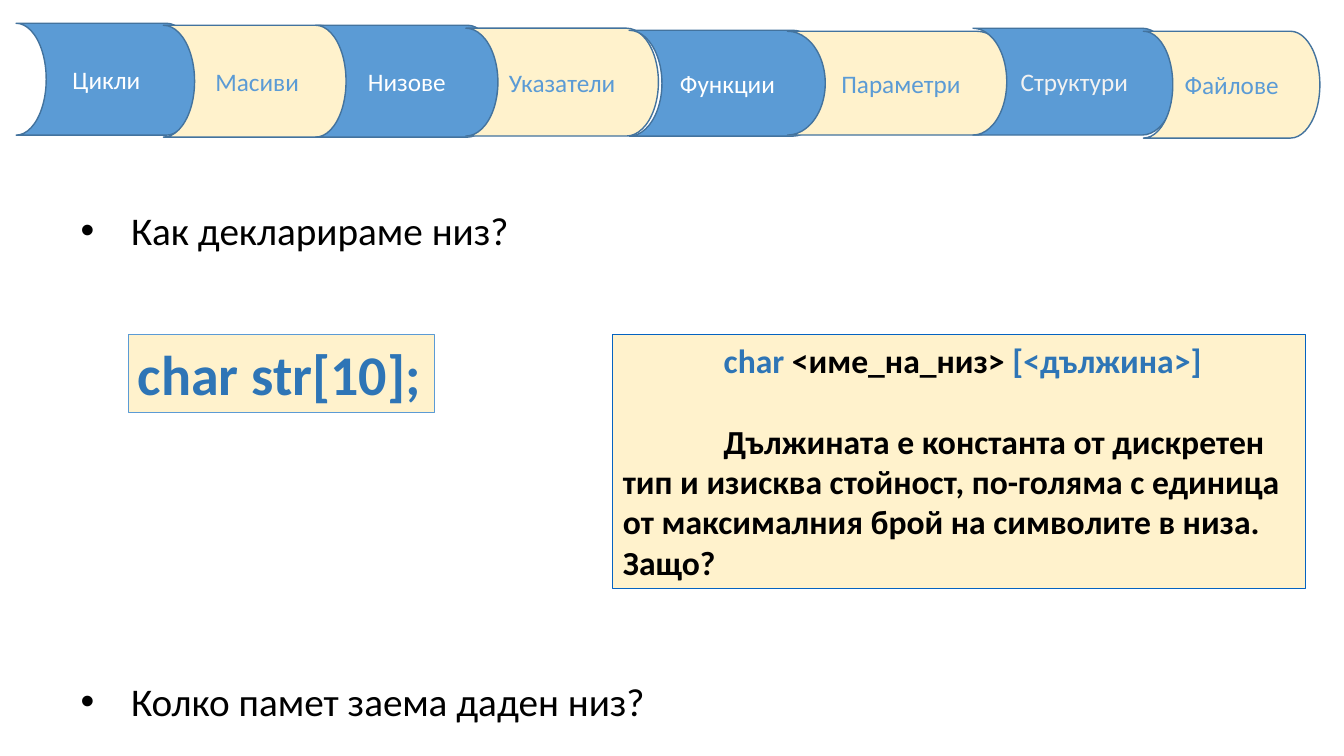
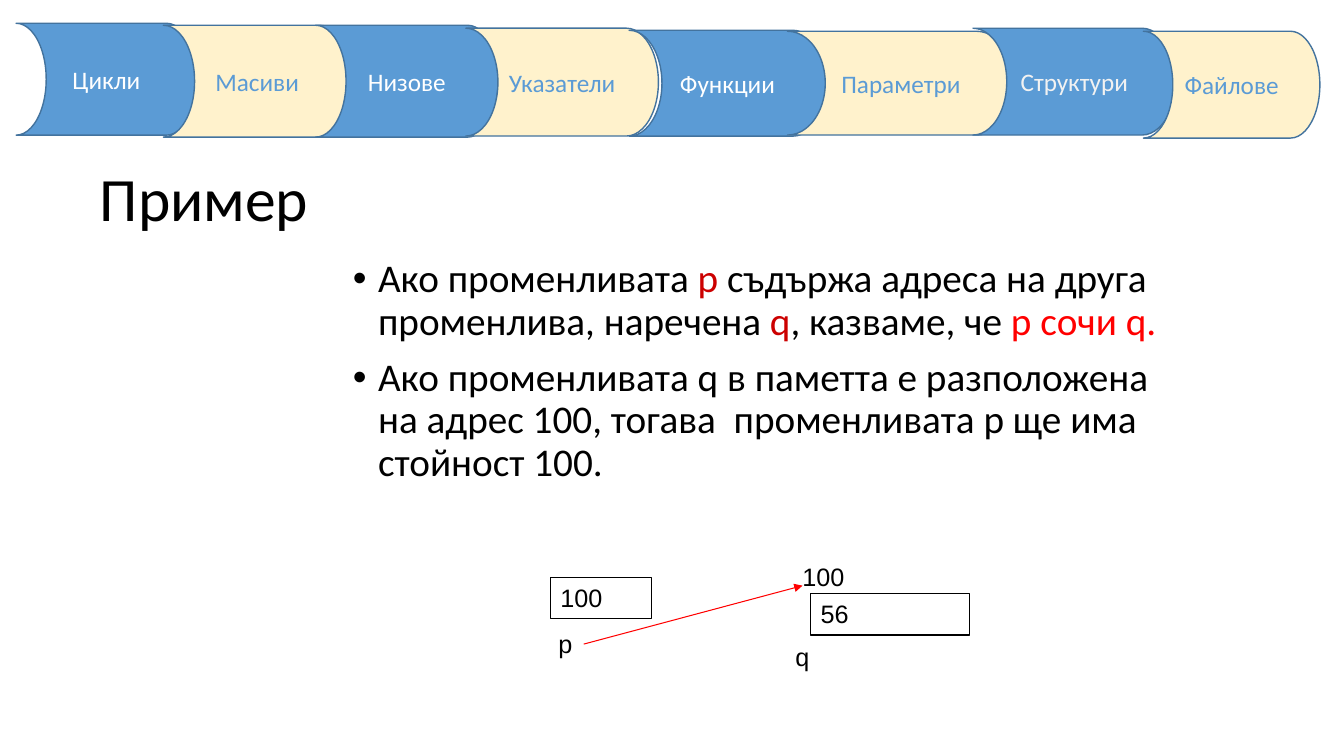
from pptx import Presentation
from pptx.dml.color import RGBColor
from pptx.enum.shapes import MSO_CONNECTOR, MSO_SHAPE
from pptx.enum.text import MSO_ANCHOR, MSO_AUTO_SIZE, PP_ALIGN
from pptx.oxml.ns import qn
from pptx.util import Inches, Pt
from lxml import etree

# Shared look
BLUE, CREAM, EDGE, WHITE, BLACK = "5B9BD5", "FFF2CC", "43739E", "FFFFFF", "000000"
CODE, DARK_RED, RED = "2E75B6", "CC0000", "FF0000"

# Topic band: label, left, top, width, height
TOPICS = [
    ("Цикли", 0.16, 0.23, 1.79, 1.11),
    ("Масиви", 1.62, 0.25, 1.86, 1.11),
    ("Низове", 3.13, 0.25, 1.81, 1.11),
    ("Указатели", 4.62, 0.28, 1.91, 1.07),
    ("Функции", 6.24, 0.3, 1.95, 1.05),
    ("Параметри", 7.81, 0.31, 2.25, 1.03),
    ("Структури", 9.65, 0.28, 2.01, 1.06),
    ("Файлове", 11.34, 0.31, 1.75, 1.06),
]
LABEL_COLORS = {"Структури": "F2F2F2"}

# Slide 1: a paragraph is a list of (text, colour) runs
QUESTIONS = [
    ("Как декларираме низ?", (0.7, 2, 4.72, 0.57)),
    ("Колко памет заема даден низ?", (0.7, 6.67, 6.59, 0.57)),
]
SYNTAX = [
    [("char ", CODE), ("<име_на_низ> ", BLACK), ("[<дължина>]", CODE)],
    [("Дължината е константа от дискретен тип и изисква стойност, "
      "по-голяма с единица от максималния брой на символите в низа. Защо?", BLACK)],
]
DECLARATION = [[("char str[10];", CODE)]]

# Slide 2
TITLE = [[("Пример", BLACK)]]
POINTERS = [
    [("Ако променливата ", BLACK), ("р", DARK_RED),
     (" съдържа адреса на друга променлива, наречена ", BLACK), ("q", DARK_RED),
     (", казваме, че ", BLACK), ("р сочи q.", RED)],
    [("Ако променливата q в паметта е разположена на адрес 100, "
      "тогава  променливата р ще има стойност 100.", BLACK)],
]
CELLS = [("56", (8.04, 5.89, 1.58, 0.41)), ("100", (5.46, 5.73, 1, 0.41))]
CELL_LABELS = [("q", (7.79, 6.31, 0.42, 0.4)), ("100", (7.86, 5.52, 0.62, 0.4)),
               ("p", (5.44, 6.18, 0.34, 0.4))]
ARROW = (5.79, 6.39, 7.96, 5.81)


def rgb(color):
    return RGBColor.from_string(color)


def place(shape, box):
    for name, value in zip(("left", "top", "width", "height"), box):
        setattr(shape, name, Inches(value))


def indent(p, left, first, bullet=False):
    pPr = p._p.get_or_add_pPr()
    pPr.set("marL", str(Inches(left)))
    pPr.set("indent", str(Inches(first)))
    if bullet:
        etree.SubElement(pPr, qn("a:buFont")).set("typeface", "Arial")
        etree.SubElement(pPr, qn("a:buChar")).set("char", "•")


def write(shape, paras, size, font="Calibri", bold=False, align=PP_ALIGN.LEFT,
          anchor=MSO_ANCHOR.TOP, wrap=True, fit=MSO_AUTO_SIZE.NONE,
          ind=None, bullet=False, gap=0, spacing=1.0):
    tf = shape.text_frame
    frame = {"word_wrap": wrap, "auto_size": fit, "vertical_anchor": anchor}
    for name, value in frame.items():
        setattr(tf, name, value)
    for i, runs in enumerate(paras):
        p = tf.add_paragraph() if i else tf.paragraphs[0]
        if ind:
            indent(p, *ind, bullet)
        para = {"alignment": align, "line_spacing": spacing,
                "space_before": Pt(gap if i else 0), "space_after": Pt(0)}
        for name, value in para.items():
            setattr(p, name, value)
        for text, color in runs:
            r = p.add_run()
            r.text = text
            for name, value in {"name": font, "size": Pt(size), "bold": bold}.items():
                setattr(r.font, name, value)
            r.font.color.rgb = rgb(color)


def add_box(s, kind, box, fill, line, width):
    sp = s.shapes.add_shape(kind, *map(Inches, box))
    sp.shadow.inherit = False
    if fill:
        sp.fill.solid()
        sp.fill.fore_color.rgb = rgb(fill)
    else:
        sp.fill.background()
    sp.line.color.rgb = rgb(line)
    sp.line.width = Pt(width)
    return sp


def add_band(prs, s):
    """Draw the topic band, then move it to the master so every slide shows it."""
    for i, (label, *box) in enumerate(TOPICS):
        fill, color = (CREAM, BLUE) if i % 2 else (BLUE, WHITE)
        sp = add_box(s, MSO_SHAPE.FLOWCHART_STORED_DATA, box, fill, EDGE, 1)
        sp.rotation = 180
        sp.element.spPr.find(qn("a:xfrm")).set("flipV", "1")
        write(sp, [[(label, LABEL_COLORS.get(label, color))]], 18,
              align=PP_ALIGN.CENTER, anchor=MSO_ANCHOR.MIDDLE)
        sp.element.nvSpPr.cNvPr.set("id", str(101 + i))
        prs.slide_master.shapes.element.append(sp.element)


def add_arrow(s, ends, color):
    c = s.shapes.add_connector(MSO_CONNECTOR.STRAIGHT, *map(Inches, ends))
    c.line.color.rgb = rgb(color)
    c.line.width = Pt(0.75)
    etree.SubElement(c.line._get_or_add_ln(), qn("a:tailEnd")).set("type", "triangle")
    etree.SubElement(c.element.spPr, qn("a:effectLst"))


def string_slide(s):
    title = s.shapes.title.element
    title.getparent().remove(title)
    for (text, box), body in zip(QUESTIONS, list(s.placeholders)):
        place(body, box)
        write(body, [[(text, BLACK)]], 28, ind=(0.5, -0.5), bullet=True)
    grow = MSO_AUTO_SIZE.SHAPE_TO_FIT_TEXT
    sp = add_box(s, MSO_SHAPE.RECTANGLE, (6.08, 3.32, 6.87, 2.52), CREAM, "0563C1", 0.75)
    write(sp, SYNTAX, 24, bold=True, fit=grow, ind=(0, 1), gap=29)
    sp = add_box(s, MSO_SHAPE.RECTANGLE, (1.27, 3.32, 3.04, 0.77), CREAM, BLUE, 0.75)
    write(sp, DECLARATION, 40, bold=True, fit=grow, wrap=False)


def pointer_slide(s):
    title, body = s.shapes.title, s.placeholders[1]
    place(title, (0.89, 1.62, 2.4, 0.9))
    write(title, TITLE, 44, spacing=0.9)
    place(body, (3.4, 2.52, 8.5, 2.44))
    write(body, POINTERS, 28, ind=(0.25, -0.25), bullet=True, gap=10, spacing=0.9)

    # Memory diagram
    for text, box in CELLS:
        sp = add_box(s, MSO_SHAPE.RECTANGLE, box, None, BLACK, 0.75)
        write(sp, [[(text, BLACK)]], 18, font="Arial")
    for text, box in CELL_LABELS:
        tb = s.shapes.add_textbox(*map(Inches, box))
        write(tb, [[(text, BLACK)]], 18, font="Arial", wrap=text == "q")
    add_arrow(s, ARROW, RED)


def main():
    prs = Presentation()
    prs.slide_width, prs.slide_height = Inches(13.33), Inches(7.5)
    two_content, content = prs.slide_layouts[3], prs.slide_layouts[1]
    s = prs.slides.add_slide(two_content)
    add_band(prs, s)
    string_slide(s)
    pointer_slide(prs.slides.add_slide(content))
    prs.save("out.pptx")


if __name__ == "__main__":
    main()
